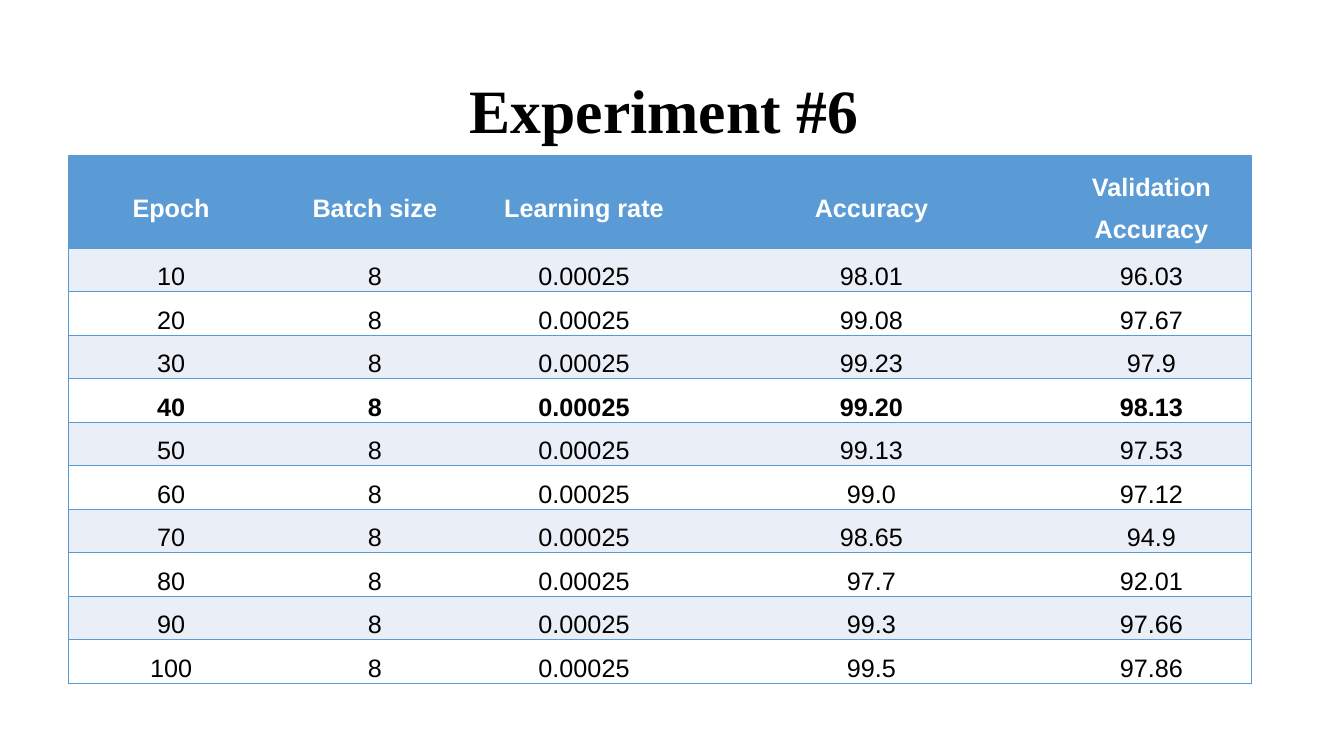
import pptx
import pptx.dml.color
import pptx.enum.text
import pptx.oxml.ns
import pptx.util
from lxml import etree

Pt = pptx.util.Pt
CENTER = pptx.enum.text.PP_ALIGN.CENTER
MIDDLE = pptx.enum.text.MSO_ANCHOR.MIDDLE

TITLE = "Experiment #6 "
HEADERS = ["Epoch", "Batch size", "Learning rate", "Accuracy", "Validation Accuracy"]
BATCH_SIZE = "8"
LEARNING_RATE = "0.00025"
RESULTS = [
    ("10", "98.01", "96.03"),
    ("20", "99.08", "97.67"),
    ("30", "99.23", "97.9"),
    ("40", "99.20", "98.13"),
    ("50", "99.13", "97.53"),
    ("60", "99.0", "97.12"),
    ("70", "98.65", "94.9"),
    ("80", "97.7", "92.01"),
    ("90", "99.3", "97.66"),
    ("100", "99.5", "97.86"),
]
BEST_EPOCH = "40"

COLUMN_WIDTHS = [146.4, 144.7, 154.2, 256.5, 143.4]
HEADER_HEIGHT = 66.5
ROW_HEIGHT = 31.07
BLUE, PALE, WHITE, BLACK = "5B9BD5", "EAEFF7", "FFFFFF", "000000"


def color(value):
    return pptx.dml.color.RGBColor.from_string(value)


def set_font(font, name, size, value, bold):
    font.name = name
    font.size = Pt(size)
    font.color.rgb = color(value)
    font.bold = bold


def set_borders(cell, visible_sides):
    properties = cell._tc.get_or_add_tcPr()
    qn = pptx.oxml.ns.qn
    for side in "LRTB":
        line = etree.SubElement(properties, qn(f"a:ln{side}"), w=str(Pt(1)))
        if side in visible_sides:
            fill = etree.SubElement(line, qn("a:solidFill"))
            etree.SubElement(fill, qn("a:srgbClr"), val=BLUE)
        else:
            etree.SubElement(line, qn("a:noFill"))


def fill_cell(cell, text, background, text_color, bold, visible_sides):
    set_borders(cell, visible_sides)
    cell.fill.solid()
    cell.fill.fore_color.rgb = color(background)
    cell.vertical_anchor = MIDDLE
    cell.margin_left = cell.margin_right = Pt(5)
    cell.margin_top = cell.margin_bottom = 0
    cell.text = text
    paragraph = cell.text_frame.paragraphs[0]
    paragraph.alignment = CENTER
    paragraph.line_spacing = 1.5
    paragraph.space_after = Pt(5.3)
    set_font(paragraph.font, "Arial", 18, text_color, bold)


def add_title(slide):
    title = slide.shapes.title
    title.left, title.top, title.width, title.height = Pt(66), Pt(28.8), Pt(828), Pt(104.4)
    title.text_frame.text = TITLE
    title.text_frame.vertical_anchor = MIDDLE
    heading = title.text_frame.paragraphs[0]
    heading.alignment = CENTER
    heading.line_spacing = 0.9
    set_font(heading.font, "Times New Roman", 44, BLACK, True)


def add_results(slide):
    rows = [HEADERS] + [
        (epoch, BATCH_SIZE, LEARNING_RATE, accuracy, validation)
        for epoch, accuracy, validation in RESULTS
    ]
    heights = [HEADER_HEIGHT] + [ROW_HEIGHT] * len(RESULTS)
    results = slide.shapes.add_table(
        len(rows), len(HEADERS), Pt(49), Pt(110.9), Pt(sum(COLUMN_WIDTHS)), Pt(sum(heights))
    ).table
    for column, width in zip(results.columns, COLUMN_WIDTHS):
        column.width = Pt(width)
    for row, height in zip(results.rows, heights):
        row.height = Pt(height)

    last = len(HEADERS) - 1
    for r, values in enumerate(rows):
        is_header = r == 0
        background = BLUE if is_header else PALE if r % 2 else WHITE
        text_color = WHITE if is_header else BLACK
        bold = is_header or values[0] == BEST_EPOCH
        for c, value in enumerate(values):
            sides = "TB" + ("L" if c == 0 else "R" if c == last else "")
            fill_cell(results.cell(r, c), value, background, text_color, bold, sides)


def main():
    deck = pptx.Presentation()
    deck.slide_width, deck.slide_height = Pt(960), Pt(540)
    slide = deck.slides.add_slide(deck.slide_layouts[5])
    add_title(slide)
    add_results(slide)
    deck.save("out.pptx")


if __name__ == "__main__":
    main()
